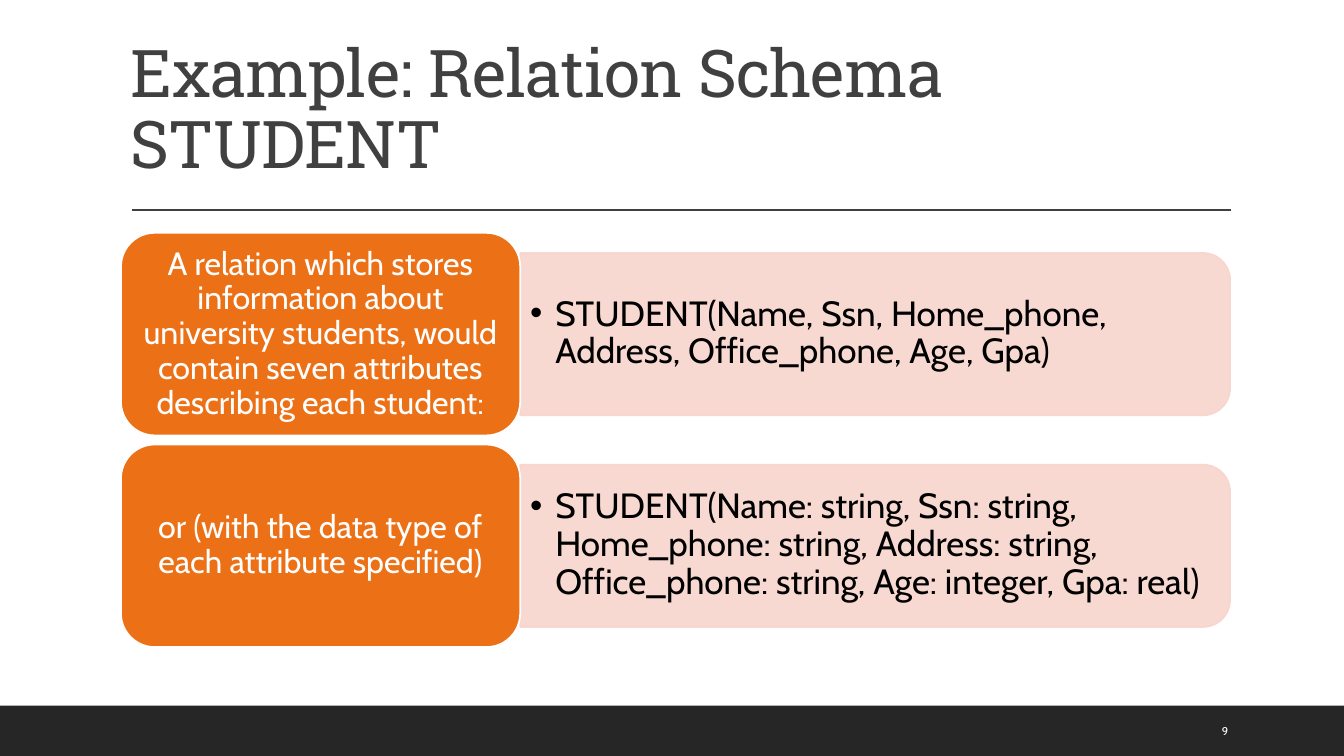
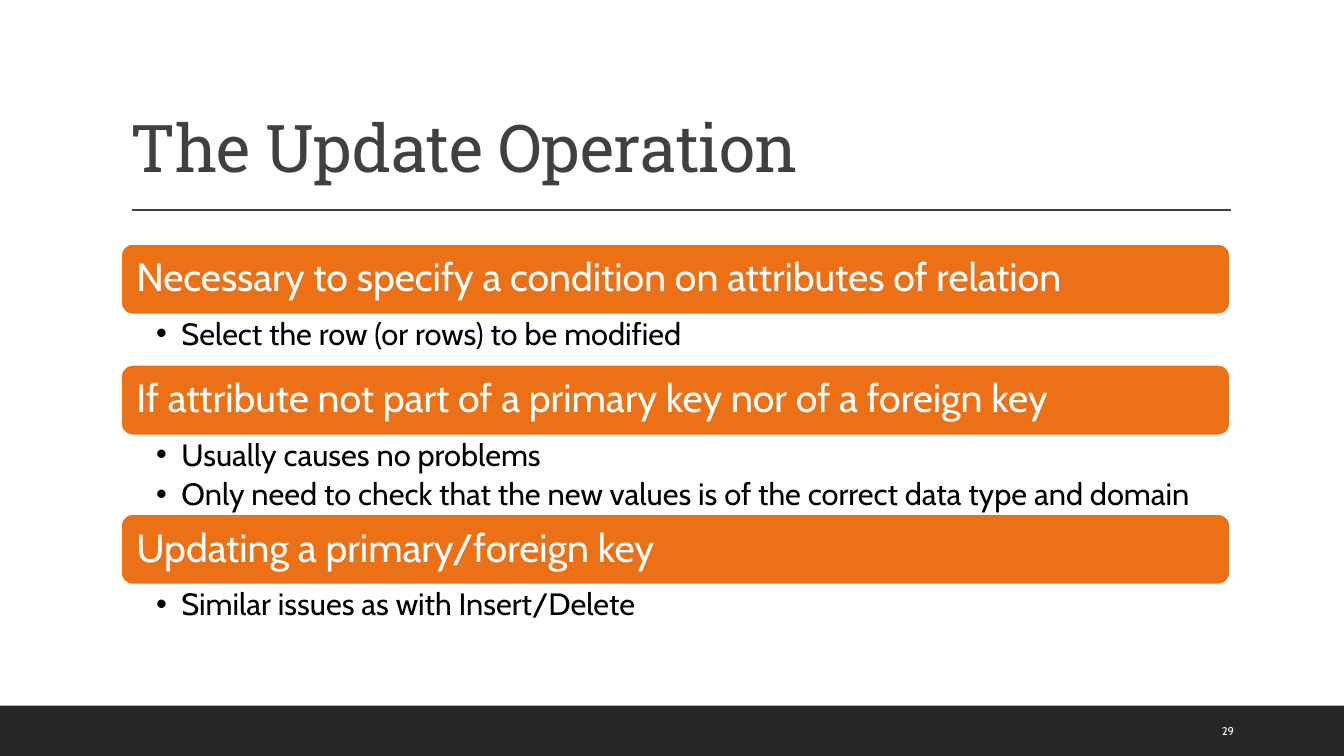
from dataclasses import dataclass, replace
from typing import NamedTuple

from lxml.etree import SubElement
from pptx import Presentation
from pptx.dml.color import RGBColor
from pptx.enum.shapes import MSO_CONNECTOR, MSO_SHAPE
from pptx.enum.text import MSO_ANCHOR, PP_ALIGN
from pptx.oxml.ns import qn
from pptx.util import Inches, Pt

DARK, GREY, WHITE, BLACK = "262626", "404040", "FFFFFF", "000000"
ORANGE, PINK = "EC7016", "F8D5CC"
HEAD, BODY = "Roboto Slab", "Cabin"
LEFT, WIDTH = 1.2, 11
EDGE = 1.25


class Box(NamedTuple):
    left: float
    top: float
    width: float
    height: float


@dataclass(frozen=True)
class Style:
    size: float
    color: str
    font: str = BODY
    anchor: MSO_ANCHOR = MSO_ANCHOR.MIDDLE
    align: PP_ALIGN = PP_ALIGN.LEFT
    inset: tuple[float, ...] = (0.1, 0.05, 0.1, 0.05)
    after: float = 0
    line: float = 0.9
    bullet: bool = False
    track: float = 0


class Pair(NamedTuple):
    label: str
    schema: str


class Topic(NamedTuple):
    head: str
    points: list[str]


TITLE = Style(47, GREY, HEAD, track=-0.5)
NUMBER = Style(8, WHITE, line=1)
LABEL = Style(23, WHITE, align=PP_ALIGN.CENTER)
SCHEMA = Style(25, BLACK, bullet=True)
BAR = Style(28, WHITE, inset=(0.12,) * 4)
POINT = Style(22, BLACK, anchor=MSO_ANCHOR.TOP, inset=(0.35, 0.04, 0.22, 0.04),
              after=4.4, bullet=True)

PAIRS = [
    Pair("A relation which stores information about university students, "
         "would contain seven attributes describing each student:",
         "STUDENT(Name, Ssn, Home_phone, Address, Office_phone, Age, Gpa)"),
    Pair("or (with the data type of each attribute specified)",
         "STUDENT(Name: string, Ssn: string, Home_phone: string, "
         "Address: string, Office_phone: string, Age: integer, Gpa: real)"),
]
TOPICS = [
    Topic("Necessary to specify a condition on attributes of relation",
          ["Select the row (or rows) to be modified"]),
    Topic("If attribute not part of a primary key nor of a foreign key",
          ["Usually causes no problems",
           "Only need to check that the new values is of the correct "
           "data type and domain"]),
    Topic("Updating a primary/foreign key",
          ["Similar issues as with Insert/Delete"]),
]


def paint(target, color: str, alpha: int = 100) -> None:
    """Give a fill a solid colour, with its opacity in percent."""
    target.solid()
    target.fore_color.rgb = RGBColor.from_string(color)
    if alpha < 100:
        tone = target._xPr.find(f".//{qn('a:srgbClr')}")
        SubElement(tone, qn("a:alpha")).set("val", str(alpha * 1000))


def add_bullet(para) -> None:
    props = para._p.get_or_add_pPr()
    props.set("marL", str(Inches(0.25)))
    props.set("indent", str(Inches(-0.25)))
    SubElement(props, qn("a:buFont")).set("typeface", "Arial")
    SubElement(props, qn("a:buChar")).set("char", "•")


def write(shape, lines: list[str], style: Style) -> None:
    frame = shape.text_frame
    frame.word_wrap = True
    frame.vertical_anchor = style.anchor
    (frame.margin_left, frame.margin_top,
     frame.margin_right, frame.margin_bottom) = map(Inches, style.inset)
    frame.text = "\n".join(lines)
    for para in frame.paragraphs:
        if style.bullet:
            add_bullet(para)
        para.alignment = style.align
        para.line_spacing = style.line
        para.space_after = Pt(style.after)
        for run in para.runs:
            run.font.size = Pt(style.size)
            run.font.name = style.font
            paint(run.font.fill, style.color)
            if style.track:
                run._r.get_or_add_rPr().set("spc", str(round(style.track * 100)))


def add_text(slide, box: Box, lines: list[str], style: Style) -> None:
    write(slide.shapes.add_textbox(*map(Inches, box)), lines, style)


def add_block(slide, kind: MSO_SHAPE, box: Box, fill: str,
              edge: str = "", alpha: int = 100):
    shape = slide.shapes.add_shape(kind, *map(Inches, box))
    shape.shadow.inherit = False
    paint(shape.fill, fill, alpha)
    if edge:
        shape.line.width = Pt(EDGE)
        paint(shape.line.fill, edge, alpha)
    else:
        shape.line.fill.background()
    return shape


def add_button(slide, box: Box, text: str, style: Style) -> None:
    shape = add_block(slide, MSO_SHAPE.ROUNDED_RECTANGLE, box, ORANGE, WHITE)
    write(shape, [text], style)


def add_base(deck, title: str, anchor: MSO_ANCHOR, number: int):
    """Add a slide with the shared band, rule, title and number."""
    slide = deck.slides.add_slide(deck.slide_layouts[6])
    add_block(slide, MSO_SHAPE.RECTANGLE, Box(0, 7, 13.33, 0.5), DARK)
    rule = slide.shapes.add_connector(
        MSO_CONNECTOR.STRAIGHT, *map(Inches, (1.31, 2.08, 12.21, 2.08)))
    rule.line.width = Pt(EDGE)
    paint(rule.line.fill, GREY)
    SubElement(rule._element.spPr, qn("a:effectLst"))
    add_text(slide, Box(LEFT, 0.31, WIDTH, 1.59), [title],
             replace(TITLE, anchor=anchor))
    add_text(slide, Box(12.02, 7.05, 0.85, 0.4), [str(number)], NUMBER)
    return slide


def add_pairs(slide, pairs: list[Pair]) -> None:
    """Stack rows of an orange label with a pale panel to its right."""
    wide, tall, step = 3.96, 2.01, 2.1
    length, depth = 7.04, 1.61
    start = LEFT + wide
    for row, pair in enumerate(pairs):
        top = 2.31 + row * step
        mid = top + tall / 2
        panel = add_block(
            slide, MSO_SHAPE.ROUND_2_SAME_RECTANGLE,
            Box(start + (length - depth) / 2, mid - length / 2, depth, length),
            PINK, PINK, 90)
        panel.rotation = 90
        add_text(slide, Box(start, mid - 0.73, 6.96, 1.45), [pair.schema], SCHEMA)
        add_button(slide, Box(LEFT, top, wide, tall), pair.label, LABEL)


def add_topics(slide, topics: list[Topic]) -> None:
    """Stack orange bars, each with its bullets below."""
    top, tall = 2.42, 0.7
    for topic in topics:
        add_button(slide, Box(LEFT, top, WIDTH, tall), topic.head, BAR)
        top += tall
        room = 0.22 + 0.28 * len(topic.points)
        add_text(slide, Box(LEFT, top, WIDTH, room), topic.points, POINT)
        top += room


def main() -> None:
    deck = Presentation()
    deck.slide_width, deck.slide_height = Inches(13.33), Inches(7.5)
    add_pairs(add_base(deck, "Example: Relation Schema STUDENT",
                       MSO_ANCHOR.MIDDLE, 9), PAIRS)
    add_topics(add_base(deck, "The Update Operation",
                        MSO_ANCHOR.BOTTOM, 29), TOPICS)
    deck.save("out.pptx")


if __name__ == "__main__":
    main()
